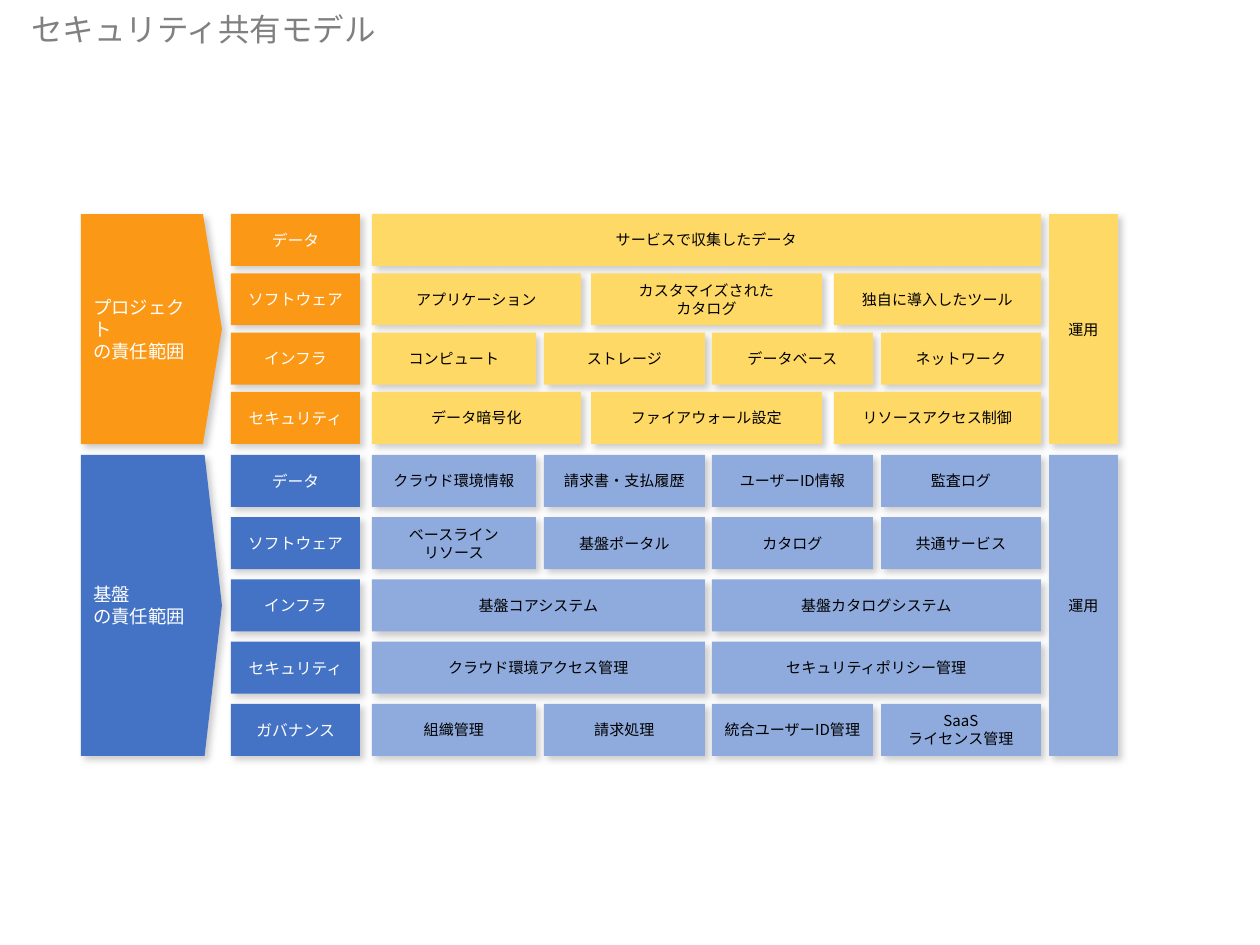
import pptx
import pptx.util
import pptx.dml.color
import pptx.enum.shapes
import pptx.enum.text
import pptx.oxml
import pptx.oxml.ns
from lxml import etree

# Content: each row is a label and its boxes; a line break starts a new paragraph
TITLE = "セキュリティ共有モデル"
OPS = "運用"
ZONES = [
    dict(name="プロジェクト\nの責任範囲", dark="FB9815", light="FFD966",
         top=214, tall=230, tip=0.135, rows=[
             ("データ", ["サービスで収集したデータ"]),
             ("ソフトウェア", ["アプリケーション", "カスタマイズされた\nカタログ",
                         "独自に導入したツール"]),
             ("インフラ", ["コンピュート", "ストレージ", "データベース", "ネットワーク"]),
             ("セキュリティ", ["データ暗号化", "ファイアウォール設定",
                         "リソースアクセス制御"]),
         ]),
    dict(name="基盤\nの責任範囲", dark="4472C4", light="8FAADC",
         top=455, tall=301, tip=0.123, rows=[
             ("データ", ["クラウド環境情報", "請求書・支払履歴",
                      "ユーザーID情報", "監査ログ"]),
             ("ソフトウェア", ["ベースライン\nリソース", "基盤ポータル",
                         "カタログ", "共通サービス"]),
             ("インフラ", ["基盤コアシステム", "基盤カタログシステム"]),
             ("セキュリティ", ["クラウド環境アクセス管理", "セキュリティポリシー管理"]),
             ("ガバナンス", ["組織管理", "請求処理", "統合ユーザーID管理",
                        "SaaS\nライセンス管理"]),
         ]),
]

THEME = dict(font="Noto Sans CJK JP", title="808080", white="FFFFFF", black="000000",
             shade="808080", head=18, zone=10.5, label=9, box=8.6)

# Left and right edges of the boxes, by number of boxes in a row
SPANS = {
    1: [(372, 1041)],
    2: [(372, 705), (712, 1041)],
    3: [(372, 581), (591, 822), (834, 1041)],
    4: [(372, 536), (544, 705), (712, 873), (881, 1041)],
}
ZONE_X, ZONE_W = 81, 141
LABEL_X, LABEL_W = 231, 129
OPS_X, OPS_W = 1049, 69
ROW_H = 52
PAD = 9

SCALE = 914400 / 126
MID = pptx.enum.text.MSO_ANCHOR.MIDDLE
LEFT, CENTER = pptx.enum.text.PP_ALIGN.LEFT, pptx.enum.text.PP_ALIGN.CENTER
RECT = pptx.enum.shapes.MSO_SHAPE.RECTANGLE
PLATE = pptx.enum.shapes.MSO_SHAPE.PENTAGON


def px(num):
    return pptx.util.Emu(round(num * SCALE))


def rgb(code):
    return pptx.dml.color.RGBColor.from_string(code)


def write(shape, text, size, color, align):
    frame = shape.text_frame
    frame.word_wrap = True
    for num, line in enumerate(text.split("\n")):
        para = frame.add_paragraph() if num else frame.paragraphs[0]
        para.alignment = align
        run = para.add_run()
        run.text = line
        run.font.size = pptx.util.Pt(size)
        run.font.name = THEME["font"]
        run.font.color.rgb = rgb(color)
        east = etree.SubElement(run.font._element, pptx.oxml.ns.qn("a:ea"))
        east.set("typeface", THEME["font"])


def shade(shape):
    shape.shadow.inherit = False
    effects = shape._element.spPr.find(pptx.oxml.ns.qn("a:effectLst"))
    effects.append(pptx.oxml.parse_xml(
        f'<a:outerShdw {pptx.oxml.ns.nsdecls("a")} blurRad="50800" dist="38100" '
        f'dir="2700000" algn="tl" rotWithShape="0"><a:srgbClr val="{THEME["shade"]}">'
        '<a:alpha val="40000"/></a:srgbClr></a:outerShdw>'))


def block(slide, kind, area, fill, text, size, color, align=CENTER, pad=None):
    shape = slide.shapes.add_shape(kind, *map(px, area))
    shape.fill.solid()
    shape.fill.fore_color.rgb = rgb(fill)
    shape.line.fill.background()
    shade(shape)
    frame = shape.text_frame
    frame.vertical_anchor = MID
    if pad:
        frame.margin_left = frame.margin_right = px(pad)
        frame.margin_top = frame.margin_bottom = px(pad)
    write(shape, text, size, color, align)
    return shape


def draw(slide, zone):
    top, tall, rows = zone["top"], zone["tall"], zone["rows"]
    white, black = THEME["white"], THEME["black"]

    # Zone arrow on the left
    plate = block(slide, PLATE, (ZONE_X, top, ZONE_W, tall), zone["dark"],
                  zone["name"], THEME["zone"], white, LEFT)
    plate.adjustments[0] = zone["tip"]

    # Rows spread evenly over the zone's height
    pitch = (tall - ROW_H) / (len(rows) - 1)
    for num, (label, boxes) in enumerate(rows):
        y = top + num * pitch
        block(slide, RECT, (LABEL_X, y, LABEL_W, ROW_H), zone["dark"],
              label, THEME["label"], white)
        for (left, right), text in zip(SPANS[len(boxes)], boxes):
            block(slide, RECT, (left, y, right - left, ROW_H), zone["light"],
                  text, THEME["box"], black, pad=PAD)

    # Operations bar on the right
    block(slide, RECT, (OPS_X, top, OPS_W, tall), zone["light"],
          OPS, THEME["box"], black, pad=PAD)


def main():
    deck = pptx.Presentation()
    deck.slide_width, deck.slide_height = px(1260), px(945)
    slide = deck.slides.add_slide(deck.slide_layouts[6])
    title = slide.shapes.add_textbox(*map(px, (19, 4, 422, 50)))
    write(title, TITLE, THEME["head"], THEME["title"], LEFT)
    for zone in ZONES:
        draw(slide, zone)
    deck.save("out.pptx")


if __name__ == "__main__":
    main()
